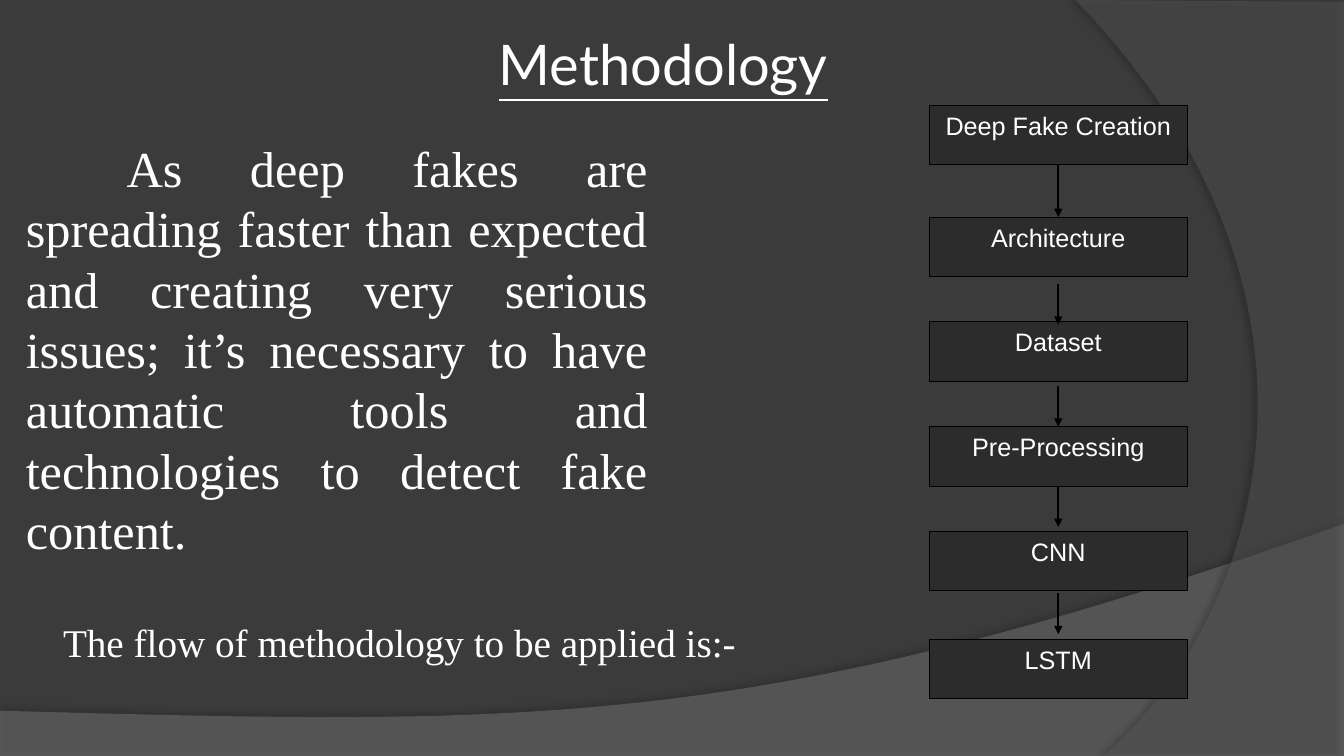
import pptx
import pptx.util
import pptx.dml.color
import pptx.enum.shapes
import pptx.enum.text
import pptx.oxml.ns
import lxml.etree

Cm = pptx.util.Cm
Pt = pptx.util.Pt
Align = pptx.enum.text.PP_ALIGN
qn = pptx.oxml.ns.qn


def tint(hue):
    return pptx.dml.color.RGBColor.from_string(hue)


def write(shape, text, size, face, align):
    frame = shape.text_frame
    frame.word_wrap = True
    frame.vertical_anchor = pptx.enum.text.MSO_ANCHOR.TOP
    para = frame.paragraphs[0]
    para.text = text
    para.alignment = align
    para.font.size = Pt(size)
    para.font.name = face
    para.font.color.rgb = tint("FFFFFF")
    return para


deck = pptx.Presentation()
deck.slide_width = Cm(33.87)
deck.slide_height = Cm(19.05)
slide = deck.slides.add_slide(deck.slide_layouts[6])
slide.background.fill.solid()
slide.background.fill.fore_color.rgb = tint("3B3B3B")
shapes = slide.shapes

waves = [
    ([(0, 17.91), (0, 19.07), (33.87, 19.07), (33.87, 13.2)],
     [(18.92, 18.52), (13.23, 18.26), (0, 17.91)],
     "7F7F7F", 45, 35, 3.5, 270),
    ([(33.87, 0.05), (33.87, 19.05), (27.81, 19.05)],
     [(31.65, 15.72), (34.47, 7.62), (27.1, 0)],
     "5E5E5E", 40, 45, 4, 180),
]
for edge, curve, hue, alpha, shade, dist, angle in waves:
    spots = [(Cm(x), Cm(y)) for x, y in edge + curve[-1:]]
    pen = shapes.build_freeform(*spots[0])
    pen.add_line_segments(spots[1:], close=True)
    wave = pen.convert_to_shape()
    wave.fill.solid()
    wave.fill.fore_color.rgb = tint(hue)
    wave.line.fill.background()
    wave.shadow.inherit = False
    props = wave._element.spPr
    bend = lxml.etree.Element(qn("a:cubicBezTo"))
    for x, y in curve:
        point = lxml.etree.SubElement(bend, qn("a:pt"))
        point.set("x", str(Cm(x) - wave.left))
        point.set("y", str(Cm(y) - wave.top))
    last = props.findall(".//" + qn("a:lnTo"))[-1]
    last.getparent().replace(last, bend)
    color = props.find(".//" + qn("a:srgbClr"))
    lxml.etree.SubElement(color, qn("a:alpha")).set("val", str(alpha * 1000))
    glow = lxml.etree.SubElement(props.find(qn("a:effectLst")), qn("a:outerShdw"))
    glow.set("blurRad", str(Pt(4)))
    glow.set("dist", str(Pt(dist)))
    glow.set("dir", str(angle * 60000))
    glow.set("rotWithShape", "0")
    black = lxml.etree.SubElement(glow, qn("a:srgbClr"))
    black.set("val", "000000")
    lxml.etree.SubElement(black, qn("a:alpha")).set("val", str(shade * 1000))

title = shapes.add_textbox(Cm(0), Cm(0.62), Cm(33.43), Cm(1.96))
write(title, "Methodology", 40, "Lato", Align.CENTER).font.underline = True

body = shapes.add_textbox(Cm(0.4), Cm(3.32), Cm(16.18), Cm(11.02))
para = write(body, "As deep fakes are spreading faster than expected and creating very "
             "serious issues; it’s necessary to have automatic tools and technologies "
             "to detect fake content.", 36, "Times New Roman", Align.JUSTIFY)
para._p.get_or_add_pPr().set("indent", str(Cm(2.54)))

stages = [("Deep Fake Creation", 2.65), ("Architecture", 5.47), ("Dataset", 8.1),
          ("Pre-Processing", 10.75), ("CNN", 13.39), ("LSTM", 16.11)]
boxes = []
for name, top in stages:
    box = shapes.add_shape(pptx.enum.shapes.MSO_SHAPE.RECTANGLE,
                           Cm(23.42), Cm(top), Cm(6.5), Cm(1.5))
    box.shadow.inherit = False
    box.fill.solid()
    box.fill.fore_color.rgb = tint("2C2C2C")
    box.line.color.rgb = tint("000000")
    box.line.width = Pt(0.5)
    write(box, name, 18, "Arial", Align.CENTER)
    boxes.append(box)

links = [(4.15, 5.47, True, True), (7.16, 8.18, False, False),
         (9.73, 10.75, False, True), (12.25, 13.28, True, False),
         (14.95, 15.98, False, False)]
for i, (start, end, leave, reach) in enumerate(links):
    link = shapes.add_connector(pptx.enum.shapes.MSO_CONNECTOR.STRAIGHT,
                                Cm(26.67), Cm(start), Cm(26.67), Cm(end))
    if leave:
        link.begin_connect(boxes[i], 2)
    if reach:
        link.end_connect(boxes[i + 1], 0)
    link.line.color.rgb = tint("000000")
    link.line.width = Pt(1.5)
    head = lxml.etree.SubElement(link.line._get_or_add_ln(), qn("a:tailEnd"))
    head.set("type", "triangle")
    lxml.etree.SubElement(link._element.spPr, qn("a:effectLst"))

note = shapes.add_textbox(Cm(1.34), Cm(15.46), Cm(20.4), Cm(1.45))
write(note, "The flow of methodology to be applied is:-", 28, "Times New Roman", Align.LEFT)

deck.save("out.pptx")
